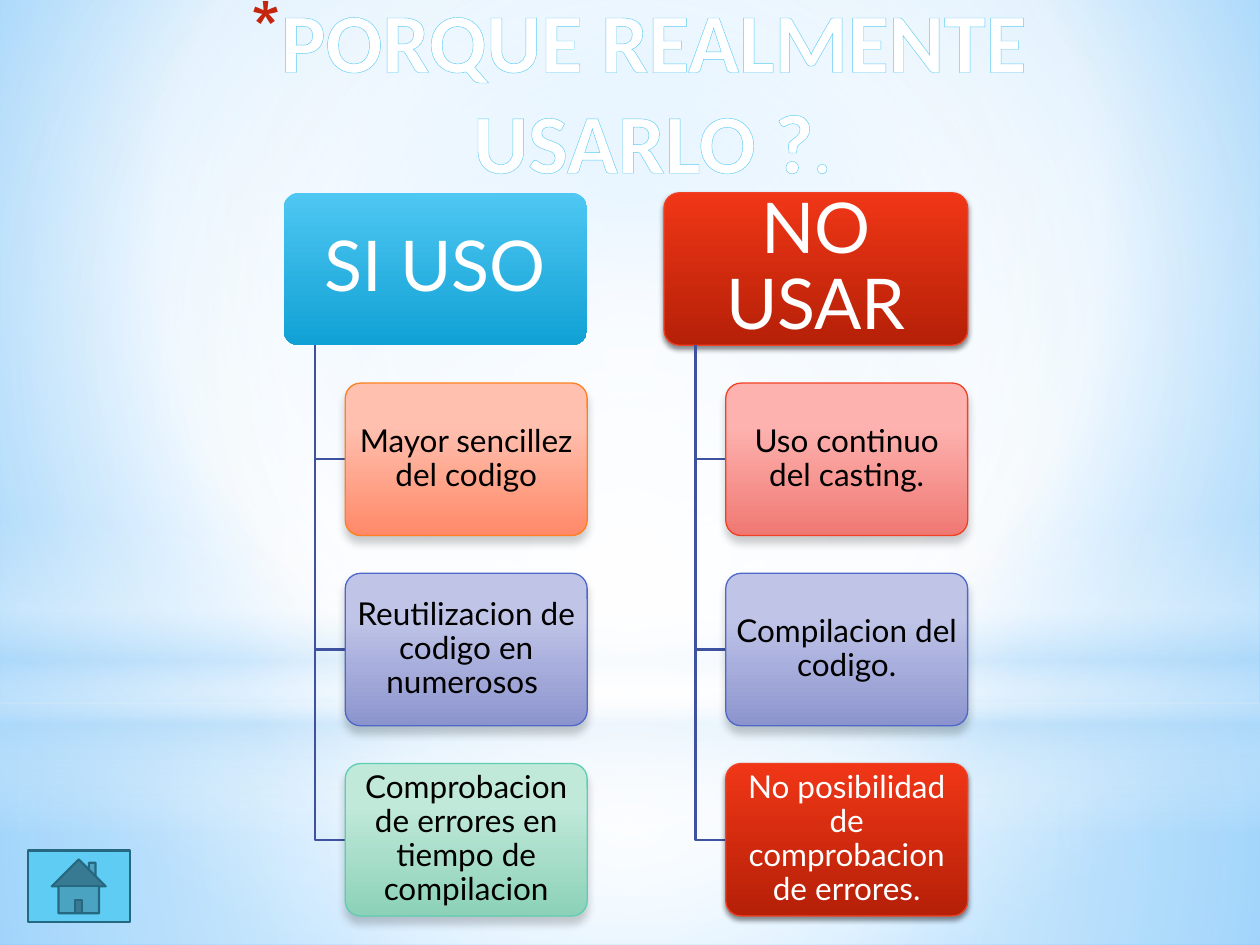
from typing import NamedTuple

from pptx import Presentation
from pptx.dml.color import RGBColor
from pptx.enum.shapes import MSO_SHAPE
from pptx.enum.text import MSO_ANCHOR, PP_ALIGN
from pptx.oxml import parse_xml
from pptx.oxml.ns import nsdecls, qn
from pptx.util import Inches, Pt

WIDE, HIGH = 10, 7.5
LEFT, TOP, STEP = 2.25, 1.53, 1.51
CARD_W, CARD_H, INDENT, STEM = 2.41, 1.21, 0.49, 0.25


class Look(NamedTuple):
    stops: list
    line: str | None
    shade: tuple | None  # opacity, blur, distance
    ink: str


class Card(NamedTuple):
    text: str
    look: Look


class Glow(NamedTuple):
    kind: MSO_SHAPE
    top: float
    height: float
    stops: list
    focus: tuple | None


def soft(start: str, end: str, line: str) -> Look:
    return Look([(28, start), (100, end)], line, (20, 5, 4), "000000")


BLUE = Look([(0, "4EC7F2"), (100, "11A1D4")], None, None, "FFFFFF")
RED = Look([(0, "F03617"), (100, "B52007")], "F14124", (45, 3.1, 1.8), "FFFFFF")
ORANGE = soft("FFC0AF", "FF8968", "FF8021")
ROSE = soft("FDB2AF", "F07873", "F14124")
VIOLET = soft("C0C5E8", "8C94CE", "4E67C8")
GREEN = soft("C0E9DA", "8CD1B8", "5DCEAF")

COLUMNS = [
    [Card("SI USO", BLUE),
     Card("Mayor sencillez del codigo", ORANGE),
     Card("Reutilizacion de codigo en numerosos ", VIOLET),
     Card("Comprobacion de errores en tiempo de compilacion", GREEN)],
    [Card("NO USAR", RED),
     Card("Uso continuo del casting.", ROSE),
     Card("Compilacion del codigo.", VIOLET),
     Card("No posibilidad de comprobacion de errores.", RED)],
]

MID = (50, 50, 50, 50)
GLOWS = [
    Glow(MSO_SHAPE.RECTANGLE, 5.58, 1.92,
         [(0, "FFFFFF", 91), (37, "FFFFFF", 76), (100, "B4DCFA", 79)], MID),
    Glow(MSO_SHAPE.RECTANGLE, 0, 5.58,
         [(0, "FFFFFF", 89), (48, "FFFFFF", 62), (100, "B4DCFA", 79)], MID),
    Glow(MSO_SHAPE.RECTANGLE, 4.12, 2.5,
         [(0, "FFFFFF", 0), (29, "FFFFFF", 30), (45, "B4DCFA", 40),
          (55, "FFFFFF", 26), (65, "B4DCFA", 60), (100, "FFFFFF", 0)], None),
    Glow(MSO_SHAPE.OVAL, 1.75, 5.58, [(0, "FFFFFF"), (56, "FFFFFF", 0)], MID),
]


def color(code: str) -> RGBColor:
    return RGBColor.from_string(code)


def node(tag: str, body: str, attrs: str = ""):
    return parse_xml(f"<a:{tag} {nsdecls('a')} {attrs}>{body}</a:{tag}>")


def tint(code: str, alpha: float = 100) -> str:
    return (f'<a:srgbClr val="{code}">'
            f'<a:alpha val="{alpha * 1000:.0f}"/></a:srgbClr>')


def blend(fill, parent, stops: list, focus: tuple | None = None) -> None:
    """Fill with a gradient: downward, or circular around the focus."""
    fill.solid()
    body = "".join(f'<a:gs pos="{at * 1000}">{tint(*hue)}</a:gs>'
                   for at, *hue in stops)
    if focus:
        sides = " ".join(f'{s}="{v * 1000}"' for s, v in zip("ltrb", focus))
        way = f'<a:path path="circle"><a:fillToRect {sides}/></a:path>'
    else:
        way = '<a:lin ang="5400000" scaled="0"/>'
    grad = node("gradFill", f"<a:gsLst>{body}</a:gsLst>{way}", 'rotWithShape="1"')
    parent.replace(parent.find(qn("a:solidFill")), grad)


def edge(shape, code: str | None, width: float = 0.75) -> None:
    if code is None:
        shape.line.fill.background()
        return
    shape.line.color.rgb = color(code)
    shape.line.width = Pt(width)


def add(slide, kind: MSO_SHAPE, *box: float):
    shape = slide.shapes.add_shape(kind, *map(Inches, box))
    shape.shadow.inherit = False
    return shape


def style(thing, **form) -> None:
    for key, value in form.items():
        setattr(thing, key, value)


def draw_glow(slide, glow: Glow) -> None:
    shape = add(slide, glow.kind, 0, glow.top, WIDE, glow.height)
    blend(shape.fill, shape.element.spPr, glow.stops, glow.focus)
    edge(shape, None)


def draw_title(slide) -> None:
    box = slide.shapes.add_textbox(*map(Inches, (0.71, -0.14, 8.68, 1.86)))
    box.text_frame.word_wrap = True
    para = box.text_frame.paragraphs[0]
    style(para, alignment=PP_ALIGN.CENTER, space_after=Pt(3))
    props = para._p.get_or_add_pPr()
    props.set("marL", str(Inches(0.25)))
    props.set("indent", str(Inches(-0.2)))
    props.append(node("buClr", tint("C3260C")))
    props.append(node("buSzPct", "", 'val="90000"'))
    props.append(node("buChar", "", 'char="*"'))
    for text, size in (("PORQUE REALMENTE USARLO ?", 48), (".", 36)):
        run = para.add_run()
        run.text = text
        style(run.font, name="Calibri", size=Pt(size), bold=True)
        run.font.color.rgb = color("FFFFFF")
        line = node("ln", f"<a:solidFill>{tint('5ECCF3')}</a:solidFill>",
                    f'w="{Pt(0.52)}"')
        run._r.get_or_add_rPr().insert(0, line)


def draw_elbow(slide, left: float, row: int) -> None:
    """Join the head of a column to the card in the given row."""
    x, y = left + STEM, TOP + CARD_H
    end = TOP + row * STEP + CARD_H / 2
    pen = slide.shapes.build_freeform(Inches(x), Inches(y))
    corner = [(x, end), (left + INDENT, end)]
    pen.add_line_segments([(Inches(a), Inches(b)) for a, b in corner], close=False)
    elbow = pen.convert_to_shape()
    elbow.shadow.inherit = False
    elbow.fill.background()
    edge(elbow, "3E52A0", 1.25)


def draw_card(slide, card: Card, left: float, row: int) -> None:
    look, shift = card.look, INDENT if row else 0
    shape = add(slide, MSO_SHAPE.ROUNDED_RECTANGLE, left + shift,
                TOP + row * STEP, CARD_W - shift, CARD_H)
    shape.adjustments[0] = 0.1
    props = shape.element.spPr
    blend(shape.fill, props, look.stops)
    edge(shape, look.line)
    if look.shade:
        alpha, blur, gap = look.shade
        cast = node("outerShdw", tint("000000", alpha),
                    f'blurRad="{Pt(blur)}" dist="{Pt(gap)}" '
                    'dir="5400000" rotWithShape="0"')
        props.find(qn("a:effectLst")).append(cast)
    padx, pady, size = (0.04, 0.03, 18) if row else (0.08, 0.06, 40)
    frame = shape.text_frame
    style(frame, text=card.text, word_wrap=True,
          vertical_anchor=MSO_ANCHOR.MIDDLE,
          margin_left=Inches(padx), margin_right=Inches(padx),
          margin_top=Inches(pady), margin_bottom=Inches(pady))
    para = frame.paragraphs[0]
    style(para, alignment=PP_ALIGN.CENTER, line_spacing=0.9)
    font = para.runs[0].font
    style(font, name="Lato", size=Pt(size))
    font.color.rgb = color(look.ink)


def draw_home(slide) -> None:
    home = add(slide, MSO_SHAPE.ACTION_BUTTON_HOME, 0.22, 6.75, 0.81, 0.57)
    home.fill.solid()
    home.fill.fore_color.rgb = color("5ECCF3")
    edge(home, "256880", 1.25)


def main() -> None:
    deck = Presentation()
    style(deck, slide_width=Inches(WIDE), slide_height=Inches(HIGH))
    slide = deck.slides.add_slide(deck.slide_layouts[6])
    fill = slide.background.fill
    blend(fill, slide.element.find(".//" + qn("p:bgPr")),
          [(0, "9ED5FF"), (60, "FFFFFF"), (100, "5BB9FF")], (20, 10, 20, 60))
    for glow in GLOWS:
        draw_glow(slide, glow)
    draw_title(slide)
    for col, cards in enumerate(COLUMNS):
        left = LEFT + col * 2 * STEP
        for row, card in enumerate(cards):
            if row:
                draw_elbow(slide, left, row)
            draw_card(slide, card, left, row)
    draw_home(slide)
    deck.save("out.pptx")


if __name__ == "__main__":
    main()
